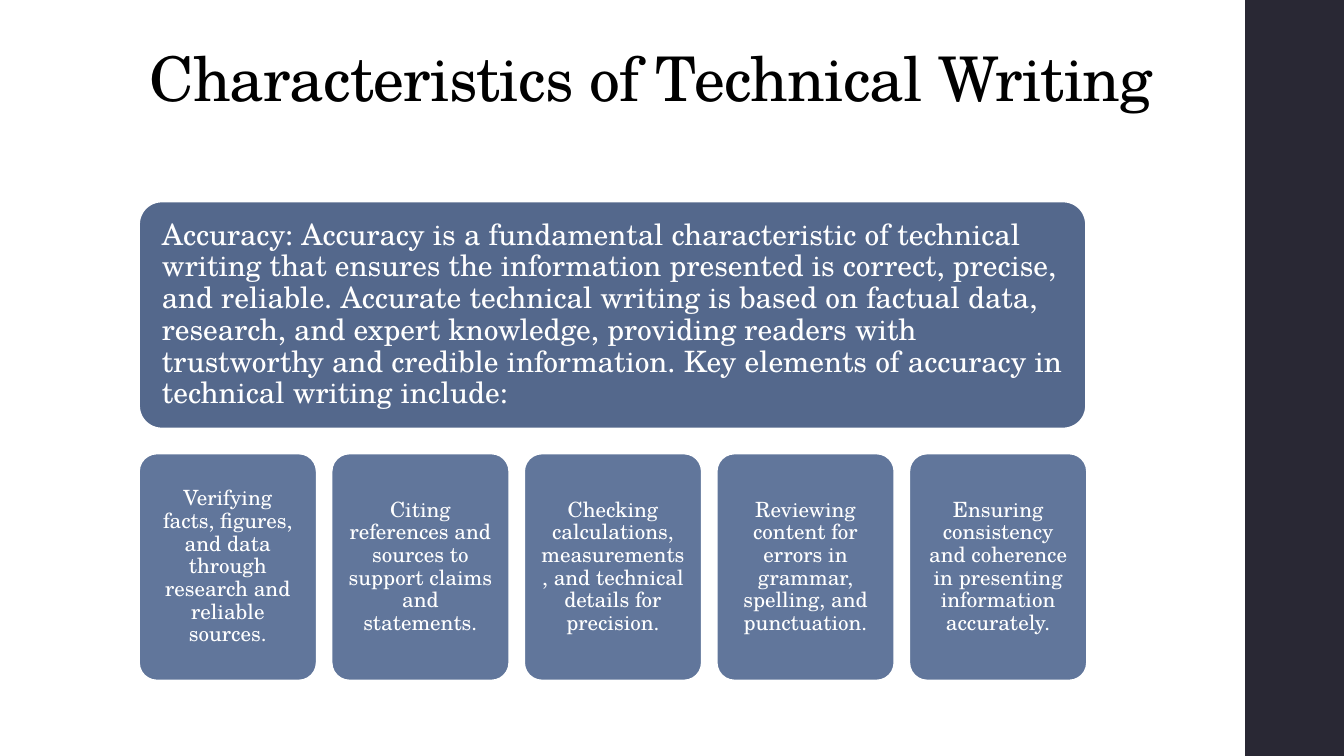
from dataclasses import dataclass

import pptx
import pptx.dml.color
import pptx.enum.shapes
import pptx.enum.text
import pptx.util

Inches = pptx.util.Inches
Pt = pptx.util.Pt
Shape = pptx.enum.shapes.MSO_SHAPE
Align = pptx.enum.text.PP_ALIGN
Anchor = pptx.enum.text.MSO_ANCHOR

FONT = "TeX Gyre Schola"
WHITE = "FFFFFF"
CARD_LEFT, CARD_STEP, CARD_WIDTH, CARD_HEIGHT = 1.38, 1.91, 1.76, 2.25


@dataclass
class Card:
    text: str
    left: float
    top: float
    width: float
    fill: str
    size: float
    inset: float
    align: Align


def color(value: str) -> pptx.dml.color.RGBColor:
    return pptx.dml.color.RGBColor.from_string(value)


def write(box, text: str, *, size: float, ink: str, align: Align,
          anchor: Anchor, insets: tuple, tracking: float = 0) -> None:
    """Fill a shape's text frame; insets are left, top, right, bottom."""
    frame = box.text_frame
    frame.word_wrap = True
    frame.auto_size = pptx.enum.text.MSO_AUTO_SIZE.NONE
    frame.vertical_anchor = anchor
    (frame.margin_left, frame.margin_top,
     frame.margin_right, frame.margin_bottom) = map(Inches, insets)
    para = frame.paragraphs[0]
    para.alignment = align
    para.line_spacing = 0.9
    span = para.add_run()
    span.text = text
    span.font.name = FONT
    span.font.size = Pt(size)
    span.font.color.rgb = color(ink)
    if tracking:
        span.font._element.set("spc", str(round(tracking * 100)))


def add_block(page, kind: Shape, left: float, top: float, width: float,
              height: float, fill: str):
    box = page.shapes.add_shape(kind, Inches(left), Inches(top),
                                Inches(width), Inches(height))
    box.shadow.inherit = False
    box.fill.solid()
    box.fill.fore_color.rgb = color(fill)
    box.line.fill.background()
    return box


def add_card(page, card: Card) -> None:
    box = add_block(page, Shape.ROUNDED_RECTANGLE, card.left, card.top,
                    card.width, CARD_HEIGHT, card.fill)
    box.adjustments[0] = 0.1
    box.line.color.rgb = color(WHITE)
    box.line.width = Pt(1.1)
    write(box, card.text, size=card.size, ink=WHITE, align=card.align,
          anchor=Anchor.MIDDLE, insets=(card.inset,) * 4)


ACCURACY = (
    "Accuracy: Accuracy is a fundamental characteristic of technical writing "
    "that ensures the information presented is correct, precise, and reliable. "
    "Accurate technical writing is based on factual data, research, and expert "
    "knowledge, providing readers with trustworthy and credible information. "
    "Key elements of accuracy in technical writing include:"
)
ELEMENTS = [
    "Verifying facts, figures, and data through research and reliable sources.",
    "Citing references and sources to support claims and statements.",
    "Checking calculations, measurements, and technical details for precision.",
    "Reviewing content for errors in grammar, spelling, and punctuation.",
    "Ensuring consistency and coherence in presenting information accurately.",
]


def main() -> None:
    deck = pptx.Presentation()
    deck.slide_width, deck.slide_height = Inches(13.33), Inches(7.5)
    page = deck.slides.add_slide(deck.slide_layouts[5])

    # Side band
    add_block(page, Shape.RECTANGLE, 12.35, 0, 0.98, 7.5, "292834")

    # Title
    title = page.shapes.title
    title.left, title.top = Inches(1.38), Inches(0.4)
    title.width, title.height = Inches(10.6), Inches(1.45)
    write(title, "Characteristics of Technical Writing", size=44, ink="000000",
          align=Align.LEFT, anchor=Anchor.BOTTOM,
          insets=(0.1, 0.05, 0.1, 0.71), tracking=-0.5)

    # Definition above its row of key elements
    add_card(page, Card(ACCURACY, CARD_LEFT, 2, 9.39, "54688C", 21, 0.16,
                        Align.LEFT))
    for index, text in enumerate(ELEMENTS):
        add_card(page, Card(text, CARD_LEFT + index * CARD_STEP, 4.5,
                            CARD_WIDTH, "61769B", 15, 0.11, Align.CENTER))

    deck.save("out.pptx")


if __name__ == "__main__":
    main()
